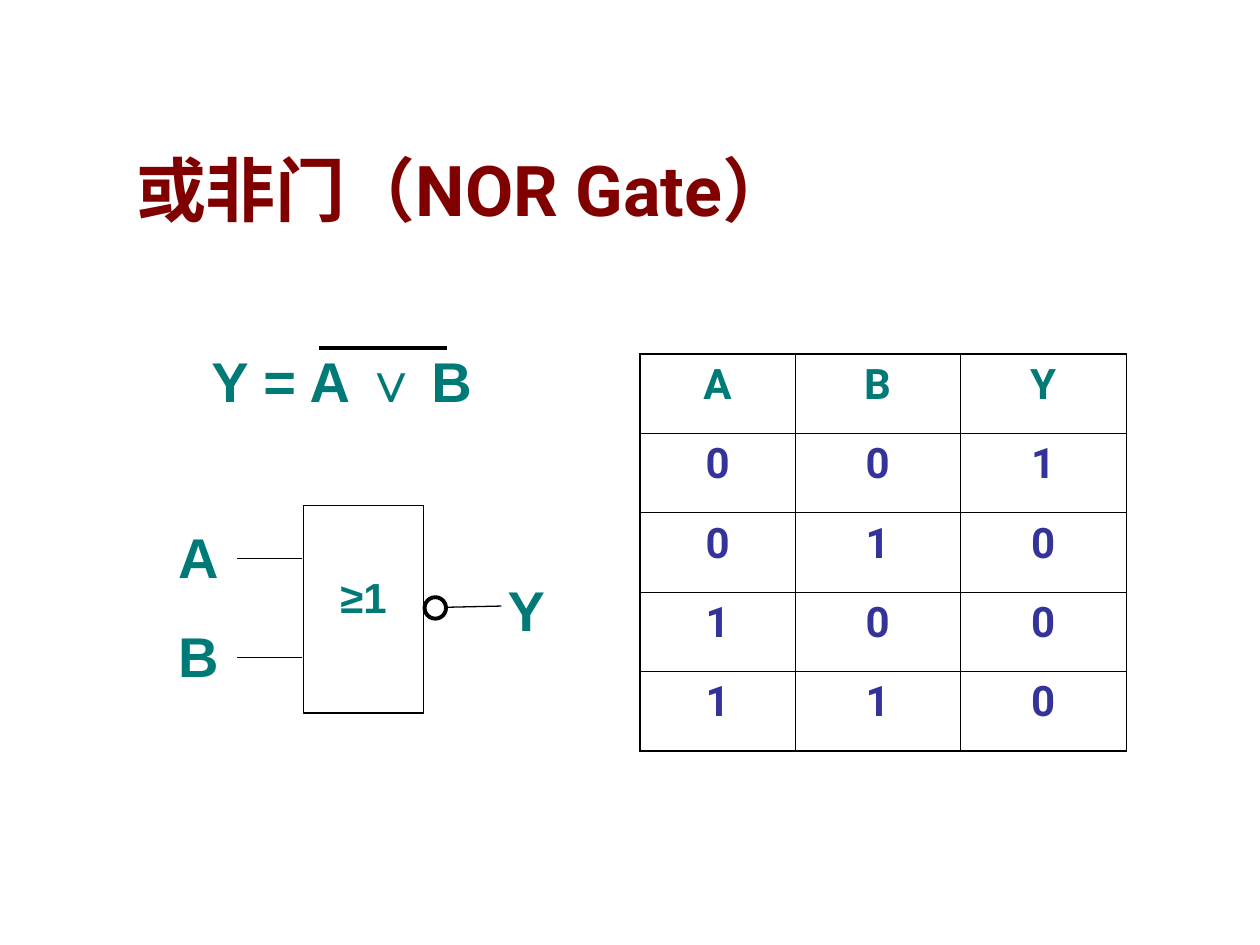
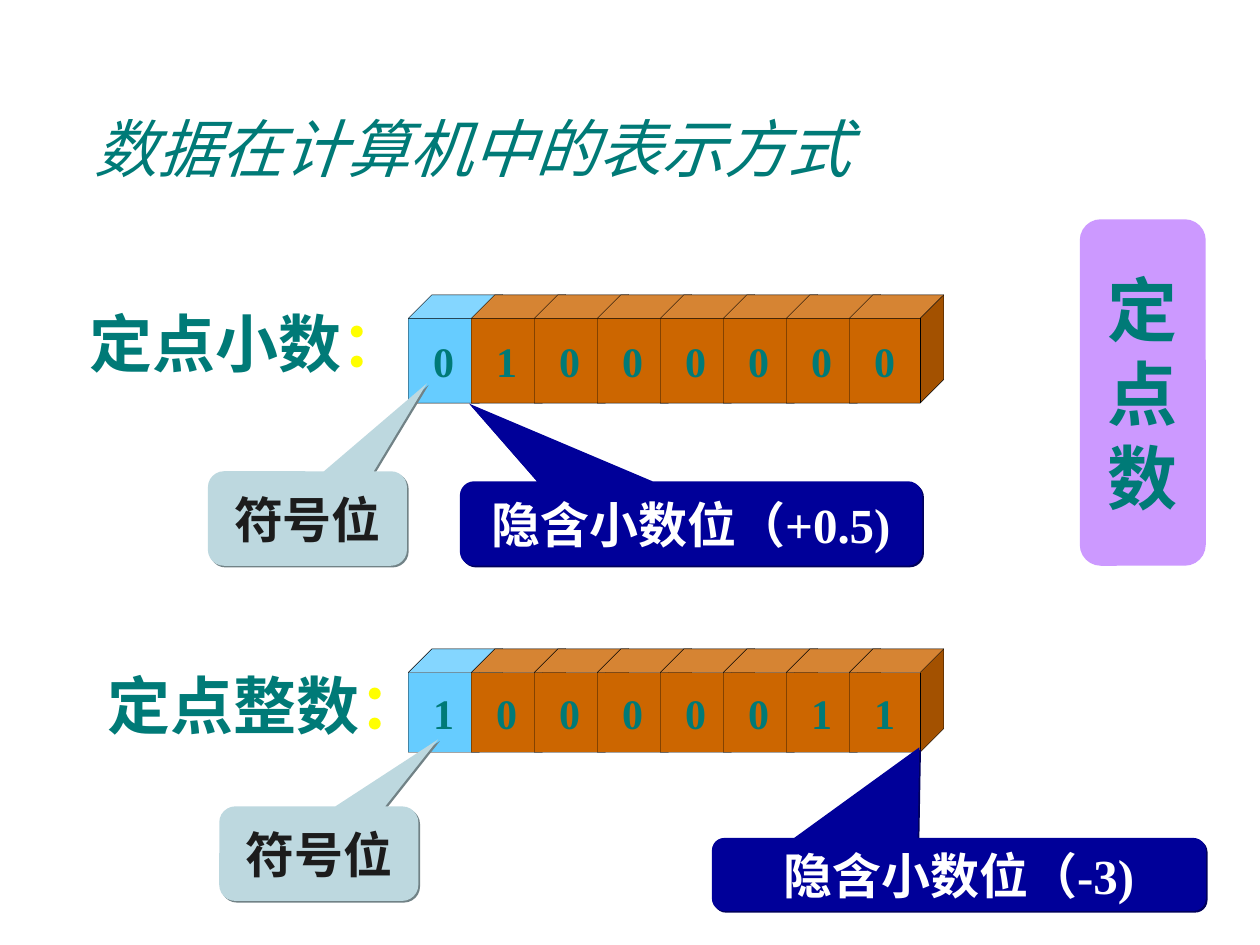
import lxml.etree
import pptx
import pptx.dml.color
import pptx.enum.shapes
import pptx.enum.text
import pptx.oxml.ns
import pptx.util

COLORS = {
    "teal": "007A77", "maroon": "800000", "indigo": "333399", "black": "000000",
    "yellow": "FFFF00", "white": "FFFFFF", "ink": "1C1C1C", "sky": "66CCFF",
    "orange": "CC6600", "lilac": "CC99FF", "mist": "BDD8DF", "mist_shadow": "718286",
    "navy": "000099", "navy_shadow": "00005C",
}
EAST_ASIAN_FONT = "Noto Sans CJK SC"
SERIF = "Times New Roman"

GATE_TITLE = "或非门（NOR Gate）"
EQUATION = [("Y = A ∨", {}), (" ", {"size": 24}), ("B", {})]
GATE_SYMBOL = "≥1"
TRUTH_TABLE = ["ABY", "001", "010", "100", "110"]
TABLE_COLUMNS = (1.23, 1.31, 1.32)
TABLE_ROW = 0.63
OUTER_BORDER, INNER_BORDER = 1.08, 0.45
WIRES = [
    ((2.53, 2.76), (3.55, 2.76), 2.25),
    ((1.88, 4.43), (2.4, 4.43), 0.75),
    ((1.88, 5.22), (2.4, 5.22), 0.75),
    ((3.54, 4.82), (3.98, 4.81), 0.75),
]

NUMBER_TITLE = "数据在计算机中的表示方式"
NUMBER_KIND = "定点数"
BIT_LEFT, BIT_STEP, BIT_WIDTH = 3.24, 0.5, 0.75
NUMBERS = [
    {"label": "定点小数", "label_at": (0.61, 2.37), "bits": "01000000", "top": 2.34, "height": 0.86},
    {"label": "定点整数", "label_at": (0.75, 5.24), "bits": "10000011", "top": 5.15, "height": 0.82},
]
CALLOUT_STYLES = {
    "sign": ("mist", "mist_shadow", "ink"),
    "point": ("navy", "navy_shadow", "white"),
}
CALLOUTS = [
    ("sign", "符号位", (1.65, 3.74, 1.58, 0.75), (0.6, -1.43)),
    ("point", "隐含小数位（+0.5)", (3.65, 3.82, 3.67, 0.67), (-0.48, -1.42)),
    ("sign", "符号位", (1.74, 6.4, 1.58, 0.75), (0.6, -1.21)),
    ("point", "隐含小数位（-3)", (5.65, 6.65, 3.92, 0.58), (-0.08, -1.74)),
]

Inches, Pt = pptx.util.Inches, pptx.util.Pt
Align = pptx.enum.text.PP_ALIGN
Anchor = pptx.enum.text.MSO_ANCHOR
Shapes = pptx.enum.shapes.MSO_SHAPE
qn = pptx.oxml.ns.qn


def rgb(name):
    return pptx.dml.color.RGBColor.from_string(COLORS[name])


def inches(values):
    return [Inches(value) for value in values]


def add_element(parent, tag, **attributes):
    return lxml.etree.SubElement(parent, qn(tag), attributes)


def add_color(parent, name):
    add_element(add_element(parent, "a:solidFill"), "a:srgbClr", val=COLORS[name])


def format_run(run, size, color, font, bold=True, italic=False):
    run.font.size = Pt(size)
    run.font.bold = bold
    run.font.italic = italic
    run.font.color.rgb = rgb(color)
    run.font.name = font
    add_element(run.font._element, "a:ea", typeface=EAST_ASIAN_FONT)


def write(text_frame, paragraphs, align=Align.CENTER, spacing=1, before=0, **style):
    for index, content in enumerate(paragraphs):
        paragraph = text_frame.paragraphs[0] if index == 0 else text_frame.add_paragraph()
        paragraph.alignment = align
        paragraph.line_spacing = spacing
        paragraph.space_before = Pt(before if index else 0)
        for text, changes in [(content, {})] if isinstance(content, str) else content:
            run = paragraph.add_run()
            run.text = text
            format_run(run, **{**style, **changes})


def set_frame(shape, anchor, wrap):
    shape.text_frame.auto_size = pptx.enum.text.MSO_AUTO_SIZE.NONE
    shape.text_frame.vertical_anchor = anchor
    shape.text_frame.word_wrap = wrap


def add_slide(presentation, title, box, anchor, **style):
    slide = presentation.slides.add_slide(presentation.slide_layouts[5])
    shape = slide.shapes.title
    shape.left, shape.top, shape.width, shape.height = inches(box)
    set_frame(shape, anchor, True)
    write(shape.text_frame, [title], align=Align.LEFT, **style)
    return slide


def add_text(slide, box, paragraphs, anchor=Anchor.TOP, wrap=True, **style):
    shape = slide.shapes.add_textbox(*inches(box))
    set_frame(shape, anchor, wrap)
    write(shape.text_frame, paragraphs, **style)


def add_shape(shapes, kind, box, fill=None, line=None, adjustments=()):
    shape = shapes.add_shape(kind, *inches(box))
    shape.shadow.inherit = False
    for index, value in enumerate(adjustments):
        shape.adjustments[index] = value
    if fill:
        shape.fill.solid()
        shape.fill.fore_color.rgb = rgb(fill)
    else:
        shape.fill.background()
    if line:
        shape.line.color.rgb = rgb("black")
        shape.line.width = Pt(line)
    else:
        shape.line.fill.background()
    set_frame(shape, Anchor.MIDDLE, False)
    return shape


def add_wire(slide, start, end, width):
    connector = slide.shapes.add_connector(
        pptx.enum.shapes.MSO_CONNECTOR.STRAIGHT, *inches(start + end))
    connector.line.color.rgb = rgb("black")
    connector.line.width = Pt(width)
    add_element(connector._element.spPr, "a:effectLst")


def add_borders(cell, outer_sides):
    properties = cell._tc.get_or_add_tcPr()
    for side in "LRTB":
        width = OUTER_BORDER if side in outer_sides else INNER_BORDER
        border = add_element(properties, "a:ln" + side, w=str(int(Pt(width))))
        add_color(border, "black")


def add_truth_table(slide):
    row_count, column_count = len(TRUTH_TABLE), len(TABLE_COLUMNS)
    box = (5.08, 2.81, sum(TABLE_COLUMNS), TABLE_ROW * row_count)
    table = slide.shapes.add_table(row_count, column_count, *inches(box)).table
    table.first_row = table.horz_banding = False
    for column, width in zip(table.columns, TABLE_COLUMNS):
        column.width = Inches(width)
    for row_index, values in enumerate(TRUTH_TABLE):
        for column_index, value in enumerate(values):
            cell = table.cell(row_index, column_index)
            edges = {"L": column_index == 0, "R": column_index == column_count - 1,
                     "T": row_index == 0, "B": row_index == row_count - 1}
            add_borders(cell, [side for side, outer in edges.items() if outer])
            cell.fill.background()
            write(cell.text_frame, [value], size=24, font="Roboto",
                  color="indigo" if row_index else "teal")


def build_gate_slide(presentation):
    slide = add_slide(presentation, GATE_TITLE, (0.98, 1.07, 8.5, 0.81), Anchor.BOTTOM,
                      size=40, color="maroon", font="Roboto")
    add_truth_table(slide)
    symbol = {"size": 32, "color": "teal", "font": "Arial", "spacing": 0.9}
    add_text(slide, (1.58, 2.76, 2.79, 0.58), [EQUATION], align=Align.LEFT, **symbol)
    add_text(slide, (3.93, 4.58, 0.5, 0.41), ["Y"], align=Align.LEFT, wrap=False, **symbol)
    add_text(slide, (1.22, 4.16, 0.71, 1.34), ["A", "B"], before=22, **symbol)
    gate = add_shape(slide.shapes, Shapes.RECTANGLE, (2.41, 4.01, 0.95, 1.65), line=0.75)
    gate.text_frame.margin_bottom = Inches(0.2)
    write(gate.text_frame, [GATE_SYMBOL], **{**symbol, "size": 24})
    for start, end, width in WIRES:
        add_wire(slide, start, end, width)
    add_shape(slide.shapes, Shapes.OVAL, (3.37, 4.74, 0.17, 0.17), line=2.25)


def add_number(slide, number):
    group = slide.shapes.add_group_shape()
    for index, bit in enumerate(number["bits"]):
        box = (BIT_LEFT + index * BIT_STEP, number["top"], BIT_WIDTH, number["height"])
        cube = add_shape(group.shapes, Shapes.CUBE, box, "orange" if index else "sky", 0.25, (0.25,))
        write(cube.text_frame, [bit], size=24, color="teal", font=SERIF)
    label = [(number["label"], {}), ("：", {"color": "yellow"})]
    add_text(slide, number["label_at"] + (2.7, 0.7), [label], Anchor.MIDDLE, False,
             size=36, color="teal", font=EAST_ASIAN_FONT)


def add_callout(slide, style, text, box, tip):
    fill, shadow_color, text_color = CALLOUT_STYLES[style]
    callout = add_shape(slide.shapes, Shapes.ROUNDED_RECTANGULAR_CALLOUT, box, fill,
                        adjustments=tip + (0.17,))
    effects = callout._element.spPr.find(qn("a:effectLst"))
    shadow = add_element(effects, "a:outerShdw", dist=str(int(Pt(1.4))), dir=str(45 * 60000),
                         algn="ctr", rotWithShape="0")
    add_element(shadow, "a:srgbClr", val=COLORS[shadow_color])
    write(callout.text_frame, [text], size=28, color=text_color, font=SERIF)


def build_number_slide(presentation):
    slide = add_slide(presentation, NUMBER_TITLE, (0.65, 0.82, 6.39, 0.7), Anchor.TOP,
                      size=36, color="teal", font=EAST_ASIAN_FONT, bold=False, italic=True)
    for number in NUMBERS:
        add_number(slide, number)
    kind = add_shape(slide.shapes, Shapes.FLOWCHART_ALTERNATE_PROCESS,
                     (8.57, 1.74, 1, 2.75), "lilac")
    write(kind.text_frame, list(NUMBER_KIND), size=40, color="teal", font=SERIF)
    for callout in CALLOUTS:
        add_callout(slide, *callout)


def main():
    presentation = pptx.Presentation()
    presentation.slide_width, presentation.slide_height = inches((10, 7.5))
    build_gate_slide(presentation)
    build_number_slide(presentation)
    presentation.save("out.pptx")


if __name__ == "__main__":
    main()
